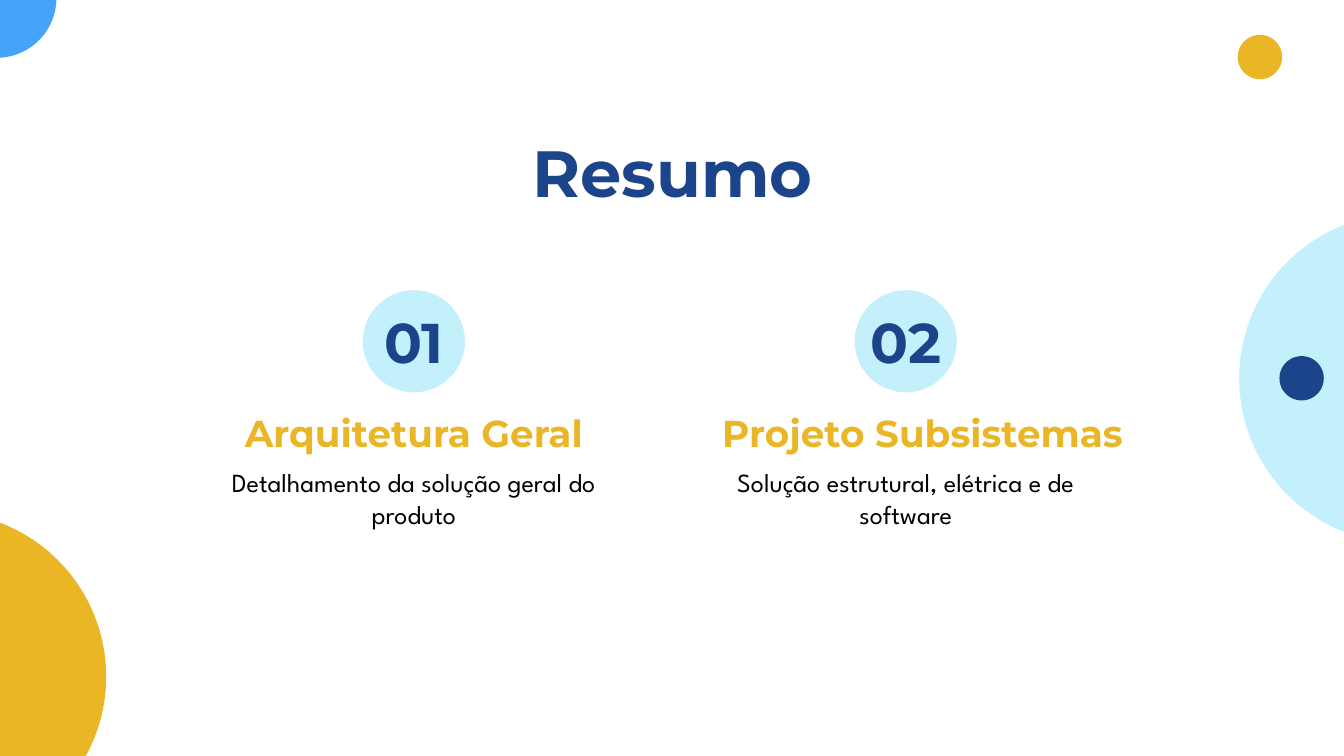
import pptx
import pptx.dml.color
import pptx.enum.shapes
import pptx.enum.text
import pptx.oxml.ns
import pptx.util
from lxml import etree

TITLE = "Resumo"
# number, heading, heading width, description
TOPICS = [
    ("01", "Arquitetura Geral", 3.06, "Detalhamento da solução geral do produto"),
    ("02", "Projeto Subsistemas", 3.31, "Solução estrutural, elétrica e de software"),
]

THEME = {
    "navy": "1C448A", "gold": "EAB625", "blue": "47A3F7", "cyan": "4CD2F8", "black": "000000",
    "title": {"size": 35, "name": "Montserrat", "bold": True},
    "number": {"size": 30, "name": "Montserrat", "bold": True},
    "heading": {"size": 20, "name": "Montserrat", "bold": True},
    "description": {"size": 14, "name": "League Spartan", "bold": False},
    "pale_alpha": 33,
}

SLIDE_W = 10
SLIDE_H = SLIDE_W * 9 / 16
COLUMN_LEFT, COLUMN_W, COLUMN_PITCH = 1.55, 3.06, 3.66
BADGE_TOP, BADGE = 2.16, 0.76
NUMBER_W, ROW_H, DESCRIPTION_H = 0.98, 0.39, 0.59
HEADING_TOP = 3.02
BIG, DOT = 2.45, 0.33

# left, top, diameter, colour, alpha in percent
CIRCLES = [
    (9.22, 1.59, BIG, "cyan", THEME["pale_alpha"]),
    (9.52, 2.65, DOT, "navy", 100),
    (9.21, 0.26, DOT, "gold", 100),
    (-1.66, 3.81, BIG, "gold", 100),
]
CORNER = (-0.47, -0.46, 0.89, "blue")

SHAPE = pptx.enum.shapes.MSO_SHAPE
inches = pptx.util.Inches


def rgb(colour):
    return pptx.dml.color.RGBColor.from_string(THEME[colour])


def add_round(slide, left, top, diameter, colour, alpha=100, kind=SHAPE.OVAL):
    disc = slide.shapes.add_shape(kind, *map(inches, (left, top, diameter, diameter)))
    disc.shadow.inherit = False
    disc.line.fill.background()
    disc.fill.solid()
    disc.fill.fore_color.rgb = rgb(colour)
    if alpha < 100:
        tint = disc.fill._xPr.find(".//" + pptx.oxml.ns.qn("a:srgbClr"))
        etree.SubElement(tint, pptx.oxml.ns.qn("a:alpha"), val=str(alpha * 1000))
    return disc


def add_label(slide, wording, left, top, width, height, style, colour):
    frame = slide.shapes.add_textbox(*map(inches, (left, top, width, height))).text_frame
    frame_format = {"word_wrap": True, "vertical_anchor": pptx.enum.text.MSO_ANCHOR.MIDDLE}
    for side in ("left", "top", "right", "bottom"):
        frame_format["margin_" + side] = inches(0.1)
    for attribute, value in frame_format.items():
        setattr(frame, attribute, value)
    paragraph = frame.paragraphs[0]
    paragraph.alignment = pptx.enum.text.PP_ALIGN.CENTER
    run = paragraph.add_run()
    run.text = wording
    for attribute, value in THEME[style].items():
        setattr(run.font, attribute, pptx.util.Pt(value) if attribute == "size" else value)
    run.font.color.rgb = rgb(colour)


def main():
    deck = pptx.Presentation()
    deck.slide_width, deck.slide_height = inches(SLIDE_W), inches(SLIDE_H)
    slide = deck.slides.add_slide(deck.slide_layouts[6])

    for circle in CIRCLES:
        add_round(slide, *circle)
    corner = add_round(slide, *CORNER, kind=SHAPE.PIE)
    corner.rotation = 180
    corner.adjustments[0], corner.adjustments[1] = 108, 162

    add_label(slide, TITLE, 0.79, 0.96, 8.43, 0.63, "title", "navy")
    for column, (number, heading, heading_w, description) in enumerate(TOPICS):
        left = COLUMN_LEFT + column * COLUMN_PITCH
        centre = left + COLUMN_W / 2
        add_round(slide, centre - BADGE / 2, BADGE_TOP, BADGE, "cyan", THEME["pale_alpha"])
        add_label(slide, number, centre - NUMBER_W / 2, BADGE_TOP + (BADGE - ROW_H) / 2,
                  NUMBER_W, ROW_H, "number", "navy")
        add_label(slide, heading, left, HEADING_TOP, heading_w, ROW_H, "heading", "gold")
        add_label(slide, description, left, HEADING_TOP + ROW_H, COLUMN_W, DESCRIPTION_H,
                  "description", "black")

    deck.save("out.pptx")


if __name__ == "__main__":
    main()
